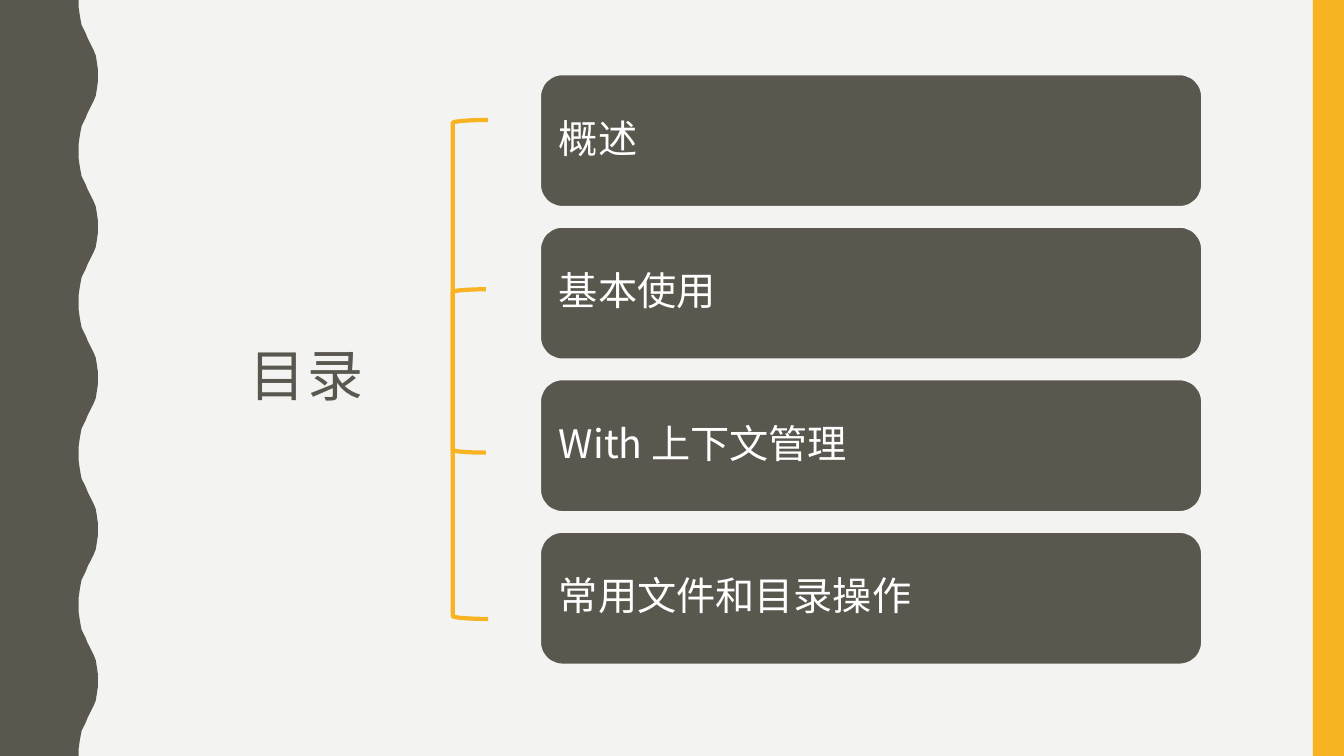
import pptx
import pptx.util
import pptx.dml.color
import pptx.enum.shapes
import pptx.enum.text
import pptx.oxml.ns
import lxml.etree

Inches = pptx.util.Inches
Pt = pptx.util.Pt
SHAPE = pptx.enum.shapes.MSO_SHAPE
ALIGN = pptx.enum.text.PP_ALIGN

FONT = "Noto Sans CJK SC"
PAPER, DARK, GOLD, WHITE = "F3F3F2", "59574E", "F8B323", "FFFFFF"
TOPICS = ["概述", "基本使用", "With 上下文管理", "常用文件和目录操作"]
HALF_WAVE = [
    (0.78, 0), (0.78, 0.07), (0.79, 0.14), (0.8, 0.2), (0.81, 0.25),
    (0.83, 0.29), (0.85, 0.33), (0.87, 0.38), (0.89, 0.42), (0.91, 0.46),
    (0.93, 0.5), (0.95, 0.55), (0.96, 0.61), (0.97, 0.68), (0.97, 0.75),
]


def rgb(color):
    """Return the colour for a hex string."""
    return pptx.dml.color.RGBColor.from_string(color)


def paint(sp, fill=None, line=None, width=1):
    """Set the fill and outline of a shape and drop its shadow."""
    sp.shadow.inherit = False
    if fill:
        sp.fill.solid()
        sp.fill.fore_color.rgb = rgb(fill)
    else:
        sp.fill.background()
    if line:
        sp.line.color.rgb = rgb(line)
        sp.line.width = Pt(width)
    else:
        sp.line.fill.background()


def add_preset(s, kind, box, **style):
    """Add a painted preset shape in the given box."""
    sp = s.shapes.add_shape(kind, *map(Inches, box))
    paint(sp, **style)
    return sp


def write(sp, text, size, color, align, spacing=0):
    """Write one vertically centred paragraph into a shape."""
    tf = sp.text_frame
    tf.word_wrap = True
    tf.vertical_anchor = pptx.enum.text.MSO_ANCHOR.MIDDLE
    tf.text = text
    p = tf.paragraphs[0]
    p.alignment = align
    p.line_spacing = 0.9
    r = p.runs[0]
    r.font.size = Pt(size)
    r.font.name = FONT
    r.font.color.rgb = rgb(color)
    props = r._r.get_or_add_rPr()
    ea = lxml.etree.SubElement(props, pptx.oxml.ns.qn("a:ea"))
    ea.set("typeface", FONT)
    if spacing:
        props.set("spc", str(spacing * 100))


def add_wavy_edge(s, left, top, height):
    """Draw the dark band with a wavy right side."""
    period = 2 * HALF_WAVE[-1][1]
    wave = HALF_WAVE + [(x, period - y) for x, y in HALF_WAVE[-2::-1]]
    points = [(left + x, top + n * period + y)
              for n in range(round(height / period)) for x, y in wave]
    fb = s.shapes.build_freeform(Inches(left), Inches(top))
    fb.add_line_segments([(Inches(x), Inches(y)) for x, y in points]
                         + [(Inches(left), Inches(top + height))], close=True)
    paint(fb.convert_to_shape(), fill=DARK)


def add_title(s, box, text):
    """Place the slide title."""
    sp = s.shapes.add_textbox(*map(Inches, box))
    write(sp, text, 40, DARK, ALIGN.CENTER, spacing=2)


def add_topics(s, box, topics, card_height=1.31):
    """Stack the topic cards evenly over the box."""
    left, top, width, height = box
    pitch = (height - card_height) / (len(topics) - 1)
    for i, topic in enumerate(topics):
        sp = add_preset(s, SHAPE.ROUNDED_RECTANGLE,
                        (left, top + i * pitch, width, card_height),
                        fill=DARK, line=PAPER)
        write(sp, topic, 28, WHITE, ALIGN.LEFT)
        tf = sp.text_frame
        tf.margin_left = tf.margin_right = Inches(0.12)
        tf.margin_top = tf.margin_bottom = Inches(0.12)


def add_brackets(s, box):
    """Draw the outer bracket and the inner one for the middle topics."""
    left, top, width, height = box
    inner = (left, top + 1.68, width - 0.02, 1.62)
    for bracket in (box, inner):
        add_preset(s, SHAPE.LEFT_BRACKET, bracket, line=GOLD, width=3)


def main():
    """Build the contents slide and save it."""
    prs = pptx.Presentation()
    prs.slide_width, prs.slide_height = Inches(13.33), Inches(7.5)
    s = prs.slides.add_slide(prs.slide_layouts[6])
    s.background.fill.solid()
    s.background.fill.fore_color.rgb = rgb(PAPER)
    add_wavy_edge(s, 0, 0, 7.5)
    add_preset(s, SHAPE.RECTANGLE, (13.02, 0, 0.31, 7.5), fill=GOLD)
    add_title(s, (1.69, 0.79, 2.7, 5.93), "目录")
    add_topics(s, (5.36, 0.74, 6.56, 5.85), TOPICS)
    add_brackets(s, (4.49, 1.19, 0.35, 4.95))
    prs.save("out.pptx")


if __name__ == "__main__":
    main()
